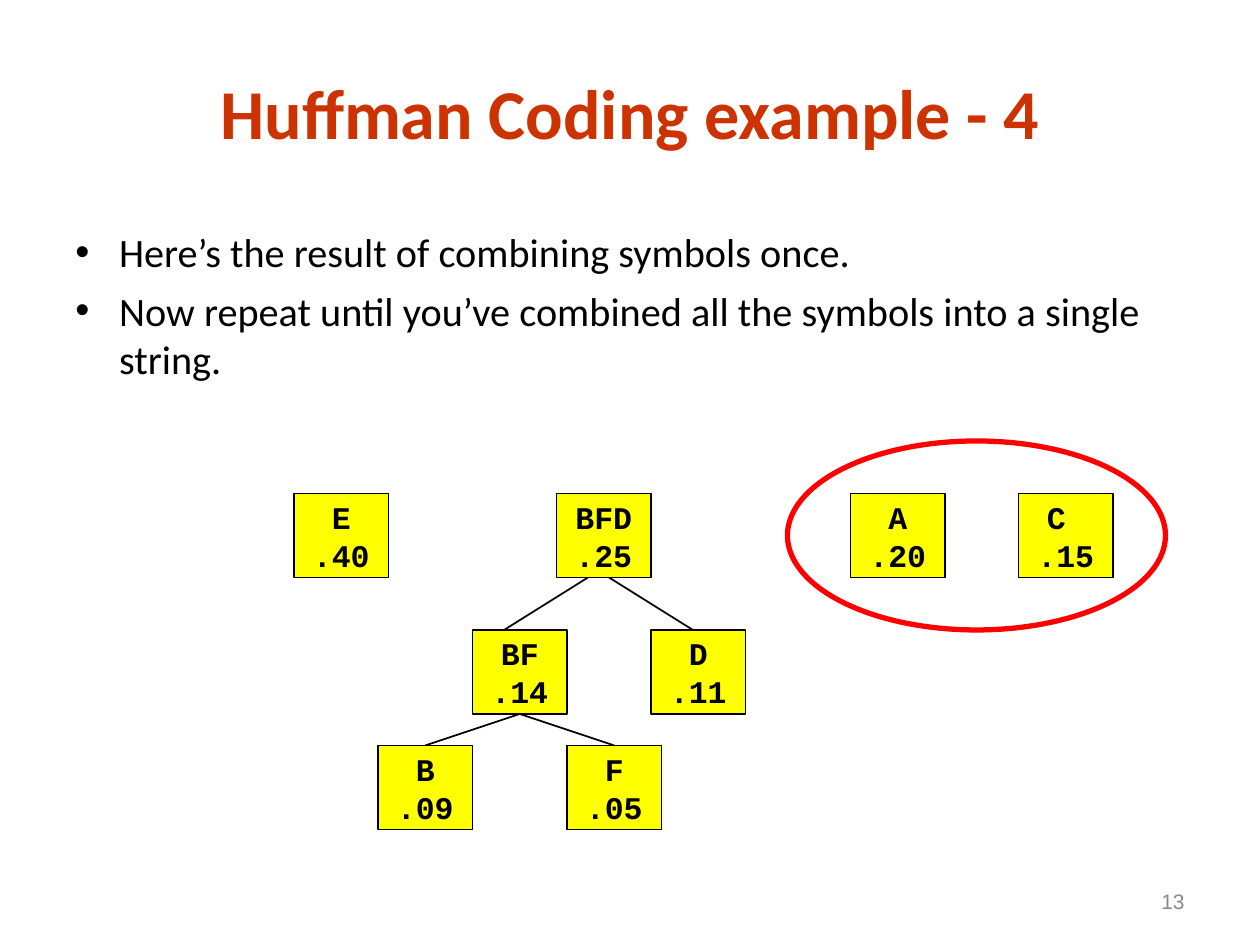
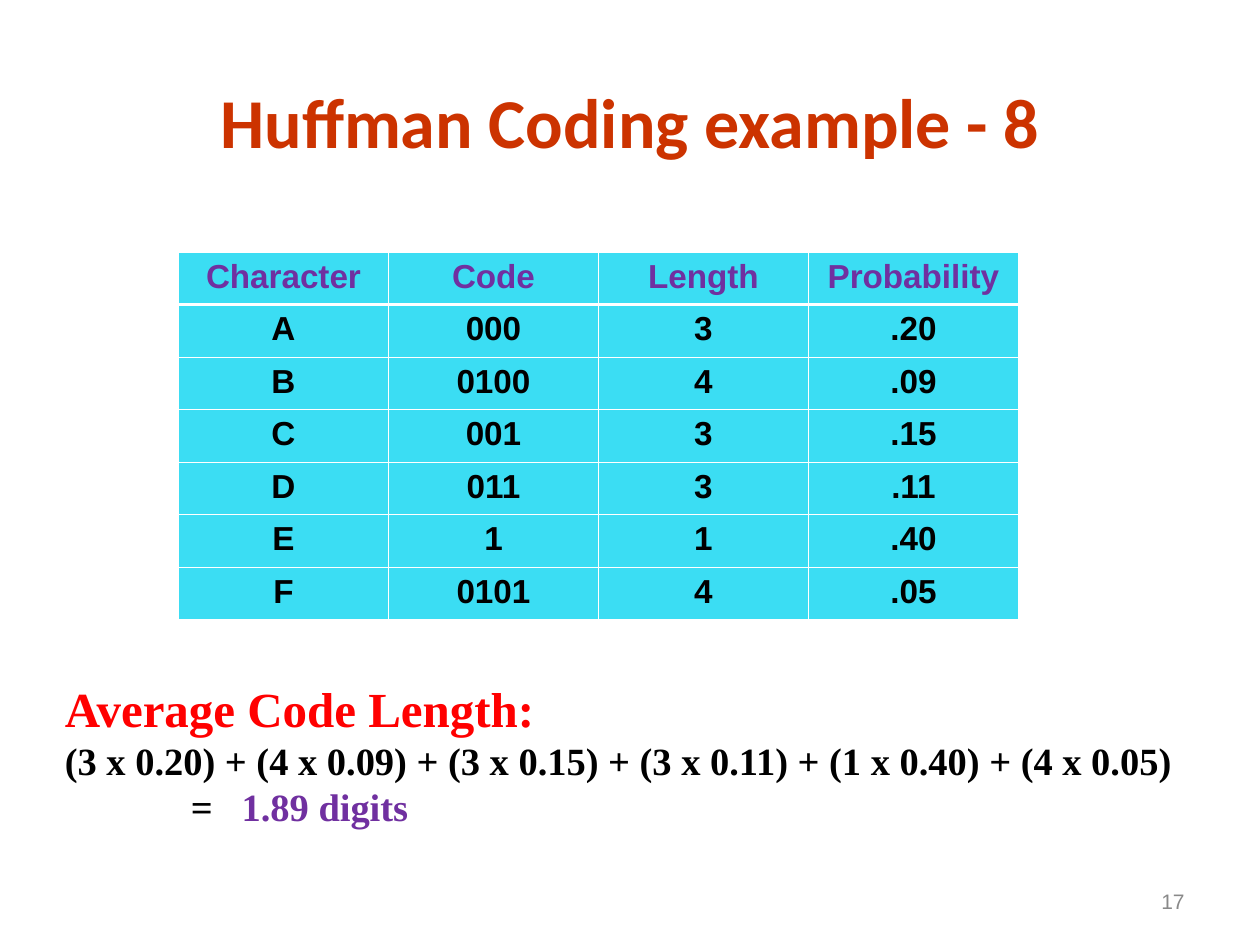
from lxml import etree
from pptx import Presentation
from pptx.dml.color import RGBColor
from pptx.enum.shapes import MSO_CONNECTOR, MSO_SHAPE
from pptx.enum.text import MSO_ANCHOR, PP_ALIGN
from pptx.oxml.ns import qn
from pptx.util import Pt

LEFT, CENTER, RIGHT = PP_ALIGN.LEFT, PP_ALIGN.CENTER, PP_ALIGN.RIGHT
TOP, MIDDLE = MSO_ANCHOR.TOP, MSO_ANCHOR.MIDDLE
RECTANGLE, OVAL = MSO_SHAPE.RECTANGLE, MSO_SHAPE.OVAL
STRAIGHT = MSO_CONNECTOR.STRAIGHT

BLACK, WHITE, RED = "000000", "FFFFFF", "FF0000"
RUST, GRAY, PURPLE = "CC3300", "898989", "7030A0"
YELLOW, CYAN = "FFFF00", "3BDDF3"


def rgb(color):
    return RGBColor.from_string(color)


def write(frame, text, font="Arial", size=18, color=BLACK, bold=False,
          align=LEFT, anchor=TOP, wrap=True, after=0, join=False):
    """Add each line as a paragraph, or join the text to the last one."""
    frame.word_wrap = wrap
    frame.vertical_anchor = anchor
    for line in text.split("\n"):
        paragraph = frame.paragraphs[-1]
        if paragraph.runs and not join:
            paragraph = frame.add_paragraph()
        paragraph.alignment = align
        paragraph.space_after = Pt(after)
        run = paragraph.add_run()
        run.text = line
        run.font.name = font
        run.font.size = Pt(size)
        run.font.bold = bold
        run.font.color.rgb = rgb(color)
    return paragraph


deck = Presentation()
deck.slide_width, deck.slide_height = Pt(720), Pt(540)

# Titles and page numbers
slides = []
for title, title_top, page in [("Huffman Coding example - 4", 36, "13"),
                               ("Huffman Coding example - 8", 41, "17")]:
    slide = deck.slides.add_slide(deck.slide_layouts[6])
    heading = slide.shapes.add_textbox(Pt(54), Pt(title_top), Pt(612), Pt(55.5))
    write(heading.text_frame, title, font="Calibri", size=40, color=RUST,
          bold=True, align=CENTER, anchor=MIDDLE)
    number = slide.shapes.add_textbox(Pt(516), Pt(500.5), Pt(168), Pt(28.75))
    write(number.text_frame, page, size=12, color=GRAY, align=RIGHT, anchor=MIDDLE)
    slides.append(slide)
tree_slide, code_slide = slides

# Explanation
explanation = tree_slide.shapes.add_textbox(Pt(36), Pt(102), Pt(648), Pt(119.5))
explanation.text_frame.margin_top = Pt(28)
write(explanation.text_frame,
      "Here’s the result of combining symbols once.\n"
      "Now repeat until you’ve combined all the symbols into a single string.",
      font="Calibri", size=23, after=5.8)
for point in explanation.text_frame.paragraphs:
    properties = point._p.get_or_add_pPr()
    properties.set("marL", str(Pt(25)))
    properties.set("indent", str(-Pt(25)))
    etree.SubElement(properties, qn("a:buFont"), typeface="Arial")
    etree.SubElement(properties, qn("a:buChar"), char="•")

# Tree branches
for x1, y1, x2, y2 in [(297, 408, 243, 426), (297, 408, 351, 426),
                       (348, 330, 396, 360), (336, 330, 288, 360)]:
    branch = tree_slide.shapes.add_connector(STRAIGHT, Pt(x1), Pt(y1), Pt(x2), Pt(y2))
    branch.line.color.rgb = rgb(BLACK)
    branch.line.width = Pt(1)
    etree.SubElement(branch._element.spPr, qn("a:effectLst"))

# Tree nodes
ROOTS, CHILDREN, LEAVES = 282, 360, 426
for symbol, probability, left, top in [
        ("E", ".40", 168, ROOTS), ("BFD", ".25", 318, ROOTS),
        ("A", ".20", 486, ROOTS), ("C ", ".15", 582, ROOTS),
        ("BF", ".14", 270, CHILDREN), ("D", ".11", 372, CHILDREN),
        ("B", ".09", 216, LEAVES), ("F", ".05", 324, LEAVES)]:
    node = tree_slide.shapes.add_shape(RECTANGLE, Pt(left), Pt(top), Pt(54), Pt(48))
    node.shadow.inherit = False
    node.fill.solid()
    node.fill.fore_color.rgb = rgb(YELLOW)
    node.line.color.rgb = rgb(BLACK)
    node.line.width = Pt(1)
    write(node.text_frame, f"{symbol}\n{probability}", font="Courier New",
          bold=True, align=CENTER, anchor=MIDDLE, wrap=False)

# Ring around the next pair to combine
next_pair = tree_slide.shapes.add_shape(OVAL, Pt(450), Pt(252), Pt(216), Pt(108))
next_pair.shadow.inherit = False
next_pair.fill.background()
next_pair.line.color.rgb = rgb(RED)
next_pair.line.width = Pt(3)

# Code table
codes = [("Character", "Code", "Length", "Probability"),
         ("A", "000", "3", ".20"),
         ("B", "0100", "4", ".09"),
         ("C", "001", "3", ".15"),
         ("D", "011", "3", ".11"),
         ("E", "1", "1", ".40"),
         ("F", "0101", "4", ".05")]
code_table = code_slide.shapes.add_table(
    len(codes), 4, Pt(102), Pt(144), Pt(480), Pt(30 * len(codes))).table
code_table.first_row = code_table.horz_banding = False
for row, entries in enumerate(codes):
    for column, entry in enumerate(entries):
        cell = code_table.cell(row, column)
        cell_properties = cell._tc.get_or_add_tcPr()
        for side in ("lnL", "lnR", "lnT", "lnB"):
            under_header = (row, side) in [(0, "lnB"), (1, "lnT")]
            border = etree.SubElement(cell_properties, qn(f"a:{side}"),
                                      w=str(Pt(1.47 if under_header else 0.45)))
            border_fill = etree.SubElement(border, qn("a:solidFill"))
            etree.SubElement(border_fill, qn("a:srgbClr"), val=WHITE)
        cell.fill.solid()
        cell.fill.fore_color.rgb = rgb(CYAN)
        write(cell.text_frame, entry, size=19, bold=True, align=CENTER,
              color=BLACK if row else PURPLE)

# Average code length
average = code_slide.shapes.add_textbox(Pt(30), Pt(384), Pt(672), Pt(93.5)).text_frame
serif = dict(font="Times New Roman", bold=True)
write(average, "Average Code Length:", size=28, color=RED, **serif)
result = write(average, "(3 x 0.20) + (4 x 0.09) + (3 x 0.15) + (3 x 0.11)"
               " + (1 x 0.40) + (4 x 0.05)\n\t=\t", size=22, **serif)
write(average, "1.89 digits", size=22, color=PURPLE, join=True, **serif)
tab_stops = etree.SubElement(result._p.get_or_add_pPr(), qn("a:tabLst"))
for stop in (72, 101):
    etree.SubElement(tab_stops, qn("a:tab"), pos=str(Pt(stop)), algn="l")

deck.save("out.pptx")
